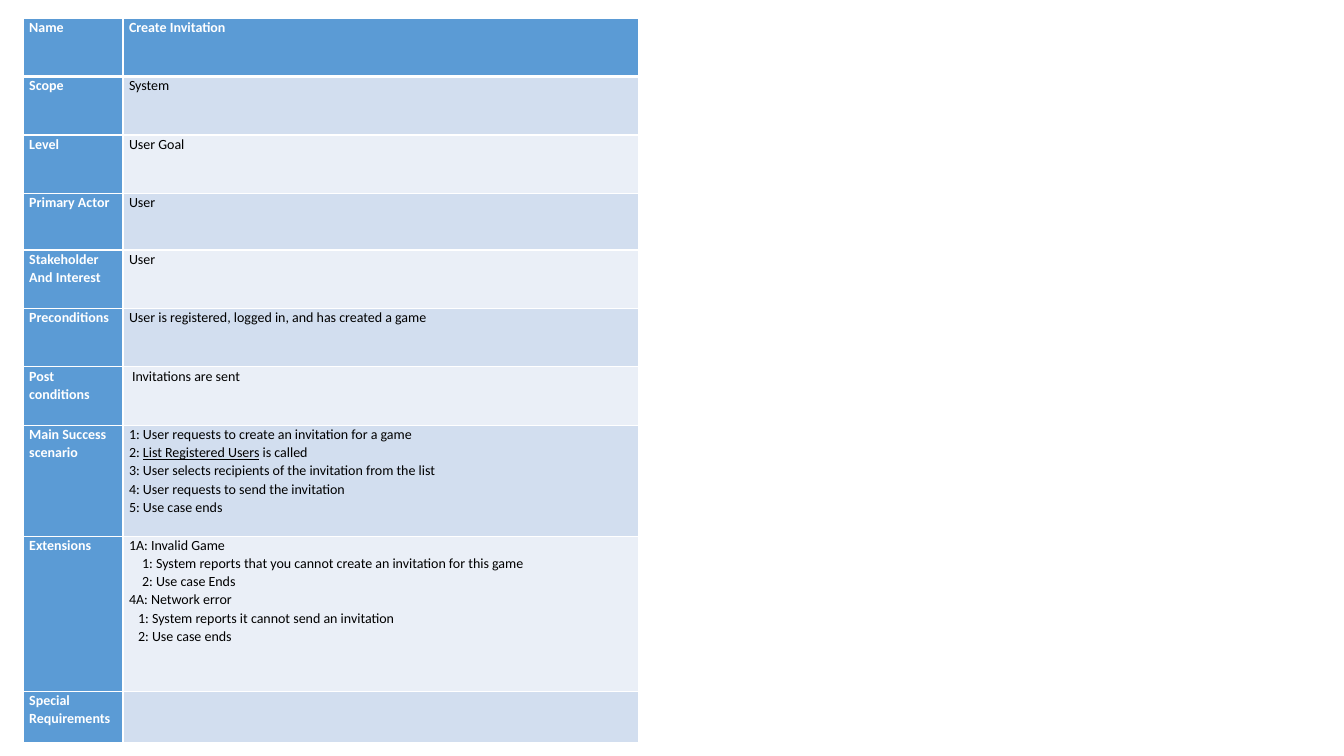
from lxml import etree
from pptx import Presentation
from pptx.dml.color import RGBColor
from pptx.util import Inches, Pt

BLUE = RGBColor(0x5B, 0x9B, 0xD5)
BAND_DARK = RGBColor(0xD2, 0xDE, 0xEF)
BAND_LIGHT = RGBColor(0xEA, 0xEF, 0xF7)
WHITE = RGBColor(0xFF, 0xFF, 0xFF)
BLACK = RGBColor(0, 0, 0)
DRAWING = "http://schemas.openxmlformats.org/drawingml/2006/main"

# Each row: height, label lines, content lines as (indent, text);
# text between underscores is underlined
ROWS = [
    (0.58, ["Name"], [(0, "Create Invitation")]),
    (0.58, ["Scope"], [(0, "System")]),
    (0.58, ["Level"], [(0, "User Goal")]),
    (0.56, ["Primary Actor"], [(0, "User")]),
    (0.58, ["Stakeholder", "And Interest"], [(0, "User")]),
    (0.58, ["Preconditions"],
     [(0, "User is registered, logged in, and has created a game")]),
    (0.58, ["Post conditions"], [(0.03, "Invitations are sent")]),
    (1.1, ["Main Success scenario"], [
        (0, "1: User requests to create an invitation for a game"),
        (0, "2: _List Registered Users_ is called"),
        (0, "3: User selects recipients of the invitation from the list"),
        (0, "4: User requests to send the invitation"),
        (0, "5: Use case ends")]),
    (1.54, ["Extensions"], [
        (0, "1A: Invalid Game"),
        (0.13, "1: System reports that you cannot create an invitation for this game"),
        (0.13, "2: Use case Ends"),
        (0, "4A: Network error"),
        (0.09, "1: System reports it cannot send an invitation"),
        (0.09, "2: Use case ends")]),
    (0.51, ["Special Requirements"], []),
]


def add_borders(cell, bottom):
    """Draw white cell borders, with the bottom one in the given points."""
    properties = cell._tc.get_or_add_tcPr()
    for side, width in (("L", 1), ("R", 1), ("T", 1), ("B", bottom)):
        line = etree.SubElement(properties, f"{{{DRAWING}}}ln{side}", w=str(Pt(width)))
        fill = etree.SubElement(line, f"{{{DRAWING}}}solidFill")
        etree.SubElement(fill, f"{{{DRAWING}}}srgbClr", val=str(WHITE))


def fill_cell(cell, lines, fill, color, bold):
    """Colour a cell and write its lines."""
    cell.fill.solid()
    cell.fill.fore_color.rgb = fill
    cell.margin_left = cell.margin_right = Inches(0.06)
    cell.margin_top = cell.margin_bottom = 0
    for number, (indent, line) in enumerate(lines):
        frame = cell.text_frame
        para = frame.add_paragraph() if number else frame.paragraphs[0]
        para.line_spacing = 1.07
        if indent:
            para._p.get_or_add_pPr().set("marL", str(Inches(indent)))
        for part, words in enumerate(line.split("_")):
            span = para.add_run()
            span.text = words
            span.font.name = "Calibri"
            span.font.size = Pt(10)
            span.font.bold = bold
            span.font.color.rgb = color
            if part % 2:
                span.font.underline = True


# Slide
deck = Presentation()
deck.slide_width, deck.slide_height = Inches(13.33), Inches(7.5)
page = deck.slides.add_slide(deck.slide_layouts[6])

# Use case table
height = sum(row[0] for row in ROWS)
table = page.shapes.add_table(len(ROWS), 2, Inches(0.23), Inches(0.18),
                              Inches(6.1), Inches(height)).table
table.columns[0].width = Inches(0.99)
table.columns[1].width = Inches(5.11)

for index, (row_height, label, content) in enumerate(ROWS):
    table.rows[index].height = Inches(row_height)
    header = index == 0
    band = BLUE if header else BAND_DARK if index % 2 else BAND_LIGHT
    name_cell, content_cell = table.cell(index, 0), table.cell(index, 1)
    for cell in (name_cell, content_cell):
        add_borders(cell, 3 if header else 1)
    fill_cell(name_cell, [(0, line) for line in label], BLUE, WHITE, True)
    fill_cell(content_cell, content, band, WHITE if header else BLACK, header)

deck.save("out.pptx")
